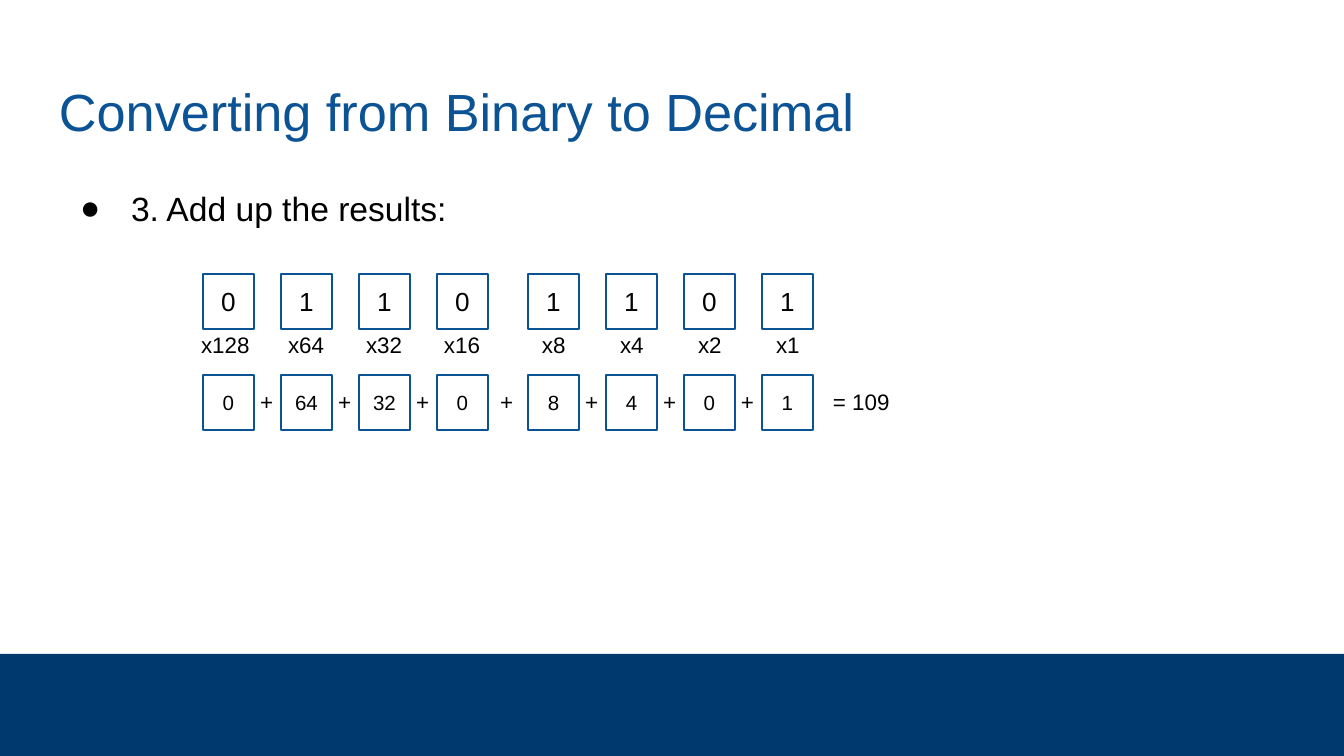
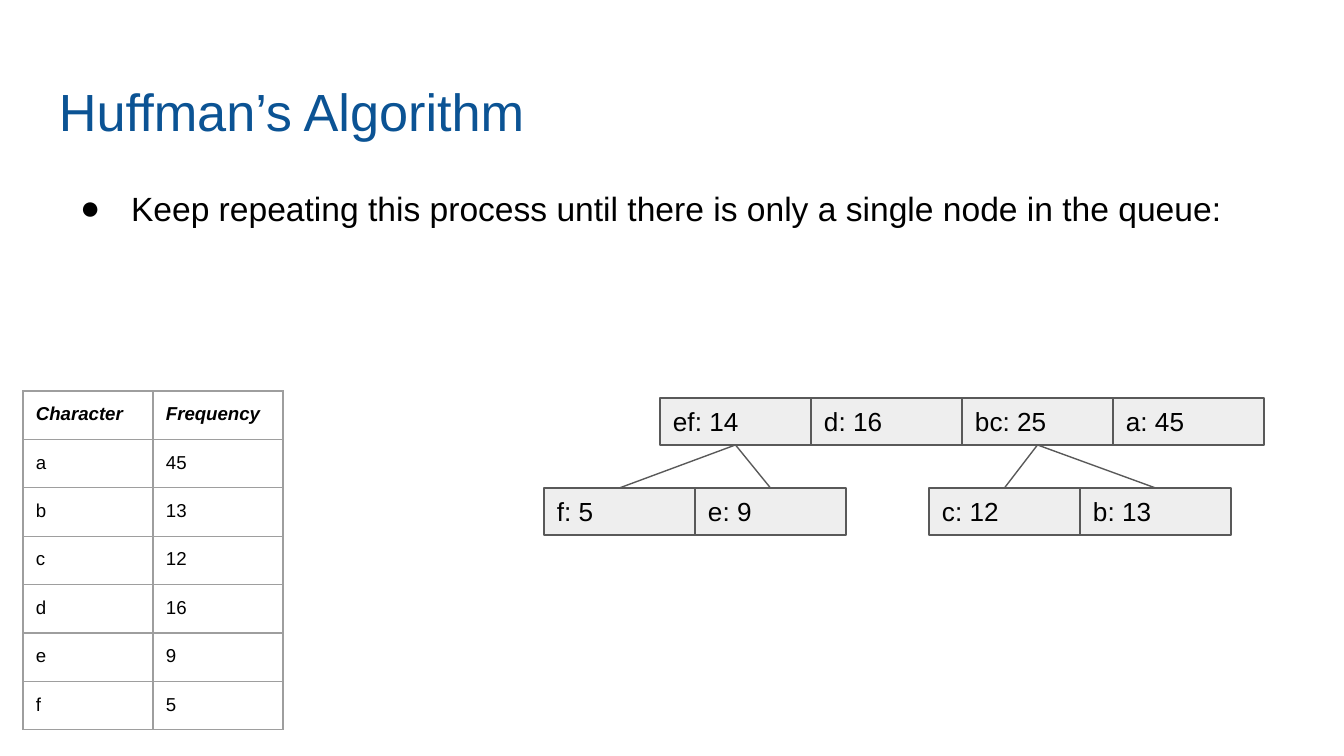
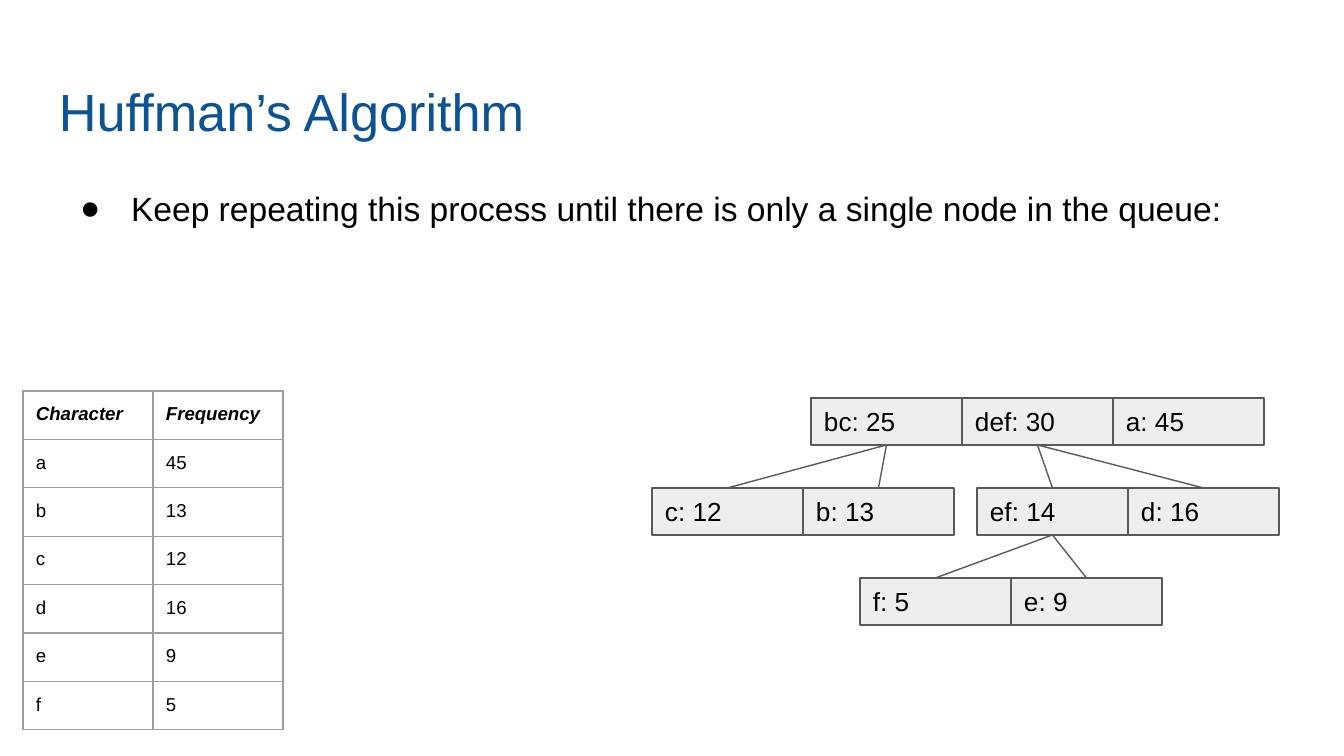
import dataclasses

import lxml.etree
import pptx
import pptx.dml.color
import pptx.enum.shapes
import pptx.enum.text
import pptx.oxml.ns
import pptx.util

ALIGN = pptx.enum.text.PP_ALIGN
ANCHOR = pptx.enum.text.MSO_ANCHOR
SHAPE = pptx.enum.shapes.MSO_SHAPE
qn = pptx.oxml.ns.qn


@dataclasses.dataclass(frozen=True)
class Theme:
    font: str = "Arial"
    text: str = "000000"
    accent: str = "0B5394"
    band: str = "00396E"
    node_fill: str = "EEEEEE"
    node_line: str = "595959"
    table_line: str = "9E9E9E"
    title_size: int = 28
    body_size: int = 18
    box_size: int = 14
    label_size: int = 12
    product_size: int = 11
    table_size: int = 10
    line_width: float = 0.75


THEME = Theme()
EMU_PER_PX = 914400 * 10 / 1344
SLIDE_W, SLIDE_H = 1344, 756
INSET = 13

# Content
BINARY_TITLE = "Converting from Binary to Decimal"
BINARY_STEP = "3. Add up the results:"
BITS = [0, 1, 1, 0, 1, 1, 0, 1]

HUFFMAN_TITLE = "Huffman’s Algorithm"
HUFFMAN_STEP = "Keep repeating this process until there is only a single node in the queue:"
FREQUENCIES = [
    ("Character", "Frequency"),
    ("a", "45"),
    ("b", "13"),
    ("c", "12"),
    ("d", "16"),
    ("e", "9"),
    ("f", "5"),
]


def leaf(label):
    return (label, 0, [])


# A node is (label, left edge of its children, children).
QUEUES = [
    [
        ("ef: 14", 544, [leaf("f: 5"), leaf("e: 9")]),
        leaf("d: 16"),
        ("bc: 25", 929, [leaf("c: 12"), leaf("b: 13")]),
        leaf("a: 45"),
    ],
    [
        ("bc: 25", 652, [leaf("c: 12"), leaf("b: 13")]),
        ("def: 30", 977, [
            ("ef: 14", 860, [leaf("f: 5"), leaf("e: 9")]),
            leaf("d: 16"),
        ]),
        leaf("a: 45"),
    ],
]

# Layout
BOX_W, BOX_H = 51, 55
BITS_LEFT, BIT_PITCH, NIBBLE_GAP = 203, 78, 13
BITS_TOP, WEIGHTS_TOP, PRODUCTS_TOP = 274, 318, 375
WEIGHT_SHIFT = {4: -15, 3: -6, 2: 1}  # by length of the label
NODE_W, NODE_H = 151, 47
QUEUE_RIGHT, QUEUE_TOP, LEVEL_PITCH = 1264, 398, 90


def px(n):
    return pptx.util.Emu(round(n * EMU_PER_PX))


def rgb(color):
    return pptx.dml.color.RGBColor.from_string(color)


def style_runs(p, size, color=THEME.text, bold=False):
    for r in p.runs:
        r.font.name = THEME.font
        r.font.size = pptx.util.Pt(size)
        r.font.color.rgb = rgb(color)
        r.font.bold = r.font.italic = bold


def set_text(tf, text, size, color=THEME.text, align=ALIGN.LEFT, anchor=ANCHOR.TOP):
    tf.text = text
    tf.word_wrap = True
    tf.vertical_anchor = anchor
    tf.margin_left = tf.margin_right = tf.margin_top = tf.margin_bottom = px(INSET)
    p = tf.paragraphs[0]
    p.alignment = align
    style_runs(p, size, color)
    return p


def add_text(slide, box, text, size, color=THEME.text):
    sp = slide.shapes.add_textbox(*map(px, box))
    return set_text(sp.text_frame, text, size, color)


def add_rect(slide, box, fill=None, line=None):
    sp = slide.shapes.add_shape(SHAPE.RECTANGLE, *map(px, box))
    sp.shadow.inherit = False
    if fill:
        sp.fill.solid()
        sp.fill.fore_color.rgb = rgb(fill)
    else:
        sp.fill.background()
    if line:
        sp.line.color.rgb = rgb(line)
        sp.line.width = pptx.util.Pt(THEME.line_width)
    else:
        sp.line.fill.background()
    return sp


def add_bullet(p):
    p.line_spacing = 1.15
    pPr = p._p.get_or_add_pPr()
    pPr.set("marL", str(px(67)))
    pPr.set("indent", str(px(-51)))
    color = lxml.etree.SubElement(pPr, qn("a:buClr"))
    lxml.etree.SubElement(color, qn("a:srgbClr"), val=THEME.text)
    lxml.etree.SubElement(pPr, qn("a:buFont"), typeface=THEME.font)
    lxml.etree.SubElement(pPr, qn("a:buChar"), char="●")


def add_slide(prs, title, step, step_h):
    slide = prs.slides.add_slide(prs.slide_layouts[6])
    add_text(slide, (46, 66, 1252, 85), title, THEME.title_size, THEME.accent)
    add_bullet(add_text(slide, (51, 169, 1247, step_h), step, THEME.body_size))
    return slide


def add_digit_box(slide, x, y, value, size):
    sp = add_rect(slide, (x, y, BOX_W, BOX_H), line=THEME.accent)
    set_text(sp.text_frame, str(value), size, align=ALIGN.CENTER, anchor=ANCHOR.MIDDLE)


def add_binary_sum(slide):
    total = 0
    for i, bit in enumerate(BITS):
        x = BITS_LEFT + i * BIT_PITCH + i // 4 * NIBBLE_GAP
        weight = 2 ** (len(BITS) - 1 - i)
        total += bit * weight
        label = f"x{weight}"
        add_digit_box(slide, x, BITS_TOP, bit, THEME.box_size)
        add_text(slide, (x + WEIGHT_SHIFT[len(label)], WEIGHTS_TOP, 79, 95),
                 label, THEME.label_size)
        add_digit_box(slide, x, PRODUCTS_TOP, bit * weight, THEME.product_size)
        if i < len(BITS) - 1:
            plus_x = x + 44 + (NIBBLE_GAP // 2 if i == 3 else 0)
            add_text(slide, (plus_x, PRODUCTS_TOP, 43, BOX_H), "+", THEME.label_size)
    add_text(slide, (820, PRODUCTS_TOP, 102, BOX_H), f"= {total}", THEME.label_size)


def set_borders(cell):
    tcPr = cell._tc.get_or_add_tcPr()
    for side in ("lnL", "lnR", "lnT", "lnB"):
        ln = lxml.etree.SubElement(tcPr, qn(f"a:{side}"),
                                   w=str(pptx.util.Pt(THEME.line_width)))
        fill = lxml.etree.SubElement(ln, qn("a:solidFill"))
        lxml.etree.SubElement(fill, qn("a:srgbClr"), val=THEME.table_line)


def add_frequency_table(slide):
    col_w, row_h = 130, 42
    n_rows, n_cols = len(FREQUENCIES), len(FREQUENCIES[0])
    frame = slide.shapes.add_table(n_rows, n_cols, px(23), px(391),
                                   px(n_cols * col_w), px(n_rows * row_h))
    table = frame.table
    table.first_row = table.horz_banding = False
    for i, row in enumerate(FREQUENCIES):
        for j, text in enumerate(row):
            cell = table.cell(i, j)
            cell.text = text
            cell.margin_left = cell.margin_right = px(INSET)
            cell.margin_top = cell.margin_bottom = px(INSET)
            style_runs(cell.text_frame.paragraphs[0], THEME.table_size, bold=i == 0)
            set_borders(cell)
            cell.fill.background()


def add_branch(slide, parent, child):
    """Join the bottom of the parent to the top of the child."""
    line = slide.shapes.add_connector(pptx.enum.shapes.MSO_CONNECTOR.STRAIGHT, 0, 0, 0, 0)
    line.begin_connect(parent, 2)
    line.end_connect(child, 0)
    line.line.color.rgb = rgb(THEME.node_line)
    line.line.width = pptx.util.Pt(THEME.line_width)
    lxml.etree.SubElement(line._element.spPr, qn("a:effectLst"))


def add_nodes(slide, nodes, left, top):
    """Draw the nodes side by side, with their children a level below."""
    shapes = []
    for i, (label, children_left, children) in enumerate(nodes):
        sp = add_rect(slide, (left + i * NODE_W, top, NODE_W, NODE_H),
                      THEME.node_fill, THEME.node_line)
        set_text(sp.text_frame, label, THEME.box_size, anchor=ANCHOR.MIDDLE)
        for child in add_nodes(slide, children, children_left, top + LEVEL_PITCH):
            add_branch(slide, sp, child)
        shapes.append(sp)
    return shapes


def main():
    prs = pptx.Presentation()
    prs.slide_width, prs.slide_height = px(SLIDE_W), px(SLIDE_H)

    slide = add_slide(prs, BINARY_TITLE, BINARY_STEP, 85)
    add_rect(slide, (0, 654, SLIDE_W, 102), THEME.band)
    add_binary_sum(slide)

    for queue in QUEUES:
        slide = add_slide(prs, HUFFMAN_TITLE, HUFFMAN_STEP, 179)
        add_frequency_table(slide)
        add_nodes(slide, queue, QUEUE_RIGHT - len(queue) * NODE_W, QUEUE_TOP)

    prs.save("out.pptx")


if __name__ == "__main__":
    main()
